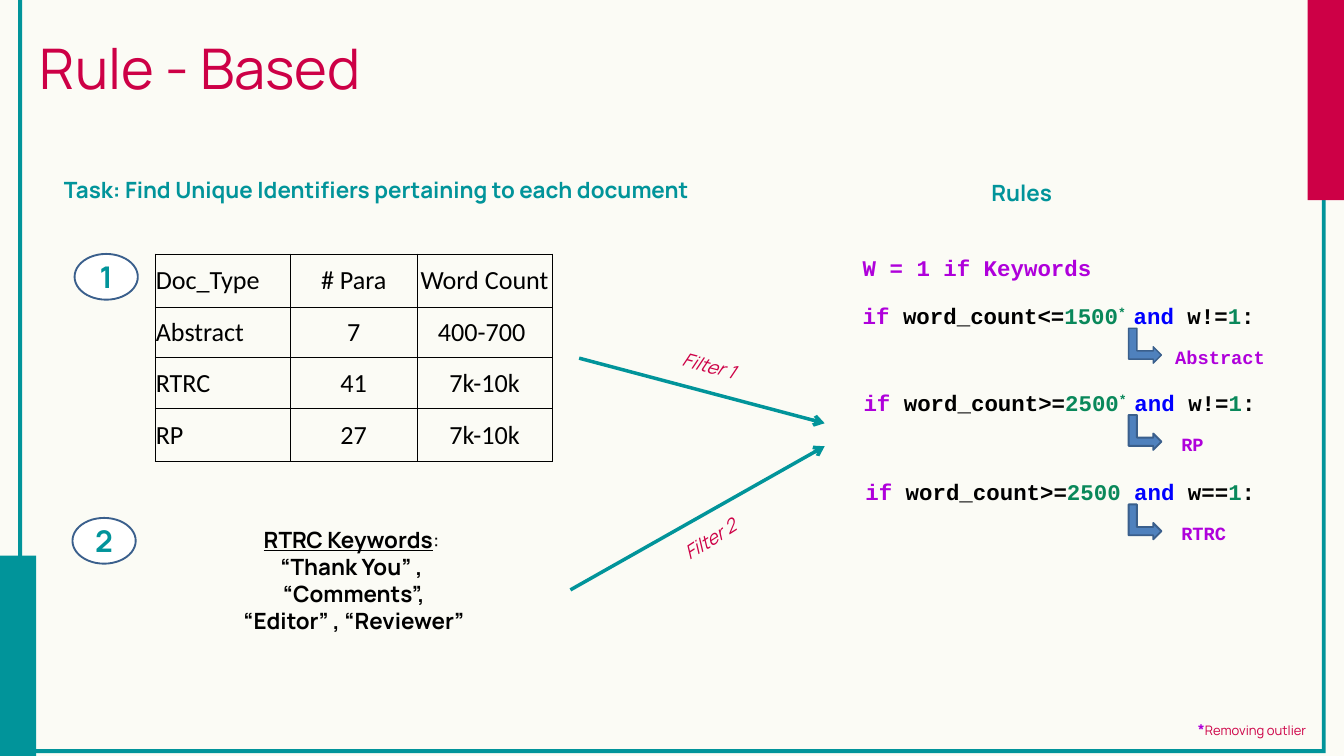
from lxml.etree import SubElement
from pptx import Presentation
from pptx.dml.color import RGBColor
from pptx.enum.shapes import MSO_CONNECTOR, MSO_SHAPE
from pptx.enum.text import MSO_ANCHOR, MSO_AUTO_SIZE, PP_ALIGN
from pptx.oxml.ns import qn
from pptx.util import Cm, Pt

COLORS = {
    "paper": "FBFBF5", "teal": "01949A", "red": "CD0046", "black": "000000",
    "white": "FFFFFF", "outline": "3A5F8C", "arrow": "4F81BD",
    "keyword": "AF00DB", "number": "09885A", "operator": "0000FF",
}
HEADING = {"size": 24, "color": "teal", "bold": True}
CODE = {"size": 24, "font": "Courier New", "color": "keyword", "bold": True}
DOCUMENT_TYPES = [
    ("Doc_Type", "# Para", "Word Count"),
    ("Abstract", "7", "400-700 "),
    ("RTRC", "41", "7k-10k"),
    ("RP", "27", "7k-10k"),
]


def rgb(name):
    return RGBColor.from_string(COLORS[name])


def write(frame, paragraphs, align=PP_ALIGN.LEFT, spacing=None, **base):
    """Fill a frame; a paragraph is a string or a list of (text, format) runs."""
    if isinstance(paragraphs, str):
        paragraphs = [paragraphs]
    for index, content in enumerate(paragraphs):
        paragraph = frame.add_paragraph() if index else frame.paragraphs[0]
        paragraph.alignment = align
        if spacing:
            paragraph.line_spacing = Pt(spacing)
        runs = [(content, {})] if isinstance(content, str) else content
        for text, changes in runs:
            style = {**base, **changes}
            run = paragraph.add_run()
            run.text = text
            run.font.name = style.get("font", "Manrope")
            run.font.size = Pt(style["size"])
            run.font.color.rgb = rgb(style["color"])
            run.font.bold = style.get("bold", False)
            run.font.italic = style.get("italic", False)
            run.font.underline = style.get("underline", False)
            if style.get("raised"):
                run._r.get_or_add_rPr().set("baseline", "30000")


def add_text(slide, paragraphs, left, top, width, height,
             rotation=0, wrap=True, **style):
    box = slide.shapes.add_textbox(Cm(left), Cm(top), Cm(width), Cm(height))
    box.rotation = rotation
    box.text_frame.word_wrap = wrap
    write(box.text_frame, paragraphs, **style)


def paint(shape, fill, line=None, line_width=2):
    shape.shadow.inherit = False
    shape.fill.solid()
    shape.fill.fore_color.rgb = rgb(fill)
    if line:
        shape.line.color.rgb = rgb(line)
        shape.line.width = Pt(line_width)
    else:
        shape.line.fill.background()


def add_shape(slide, kind, left, top, width, height, fill, **line):
    shape = slide.shapes.add_shape(kind, Cm(left), Cm(top), Cm(width), Cm(height))
    paint(shape, fill, **line)
    return shape


def add_frame(slide, left, top, right, bottom, thickness):
    def corners(inset):
        x1, y1 = Cm(left + inset), Cm(top + inset)
        x2, y2 = Cm(right - inset), Cm(bottom - inset)
        return [(x1, y1), (x1, y2), (x2, y2), (x2, y1)]

    outer, inner = corners(0), corners(thickness)[::-1]
    builder = slide.shapes.build_freeform(*outer[0])
    builder.add_line_segments(outer[1:], close=True)
    builder.move_to(*inner[0])
    builder.add_line_segments(inner[1:], close=True)
    paint(builder.convert_to_shape(), "teal")


def add_step_number(slide, number, left, top):
    badge = add_shape(slide, MSO_SHAPE.OVAL, left, top, 2.39, 1.73,
                      "white", line="outline")
    frame = badge.text_frame
    frame.margin_left = frame.margin_right = 0
    frame.margin_top = frame.margin_bottom = 0
    frame.vertical_anchor = MSO_ANCHOR.MIDDLE
    write(frame, number, align=PP_ALIGN.CENTER, size=32, color="teal", bold=True)


def add_arrow(slide, x1, y1, x2, y2):
    arrow = slide.shapes.add_connector(
        MSO_CONNECTOR.STRAIGHT, Cm(x1), Cm(y1), Cm(x2), Cm(y2))
    arrow.line.color.rgb = rgb("teal")
    arrow.line.width = Pt(3.75)
    SubElement(arrow.line._get_or_add_ln(), qn("a:tailEnd"), type="arrow")
    SubElement(arrow._element.spPr, qn("a:effectLst"))


def add_borders(cell):
    properties = cell._tc.get_or_add_tcPr()
    for side in ("lnL", "lnR", "lnT", "lnB"):
        border = SubElement(properties, qn(f"a:{side}"), w=str(Pt(1)))
        fill = SubElement(border, qn("a:solidFill"))
        SubElement(fill, qn("a:srgbClr"), val=COLORS["black"])


def add_document_table(slide, left, top, widths, heights):
    table = slide.shapes.add_table(
        len(heights), len(widths), Cm(left), Cm(top),
        Cm(sum(widths)), Cm(sum(heights))).table
    table.first_row = table.horz_banding = False
    for column, width in zip(table.columns, widths):
        column.width = Cm(width)
    for row, height, values in zip(table.rows, heights, DOCUMENT_TYPES):
        row.height = Cm(height)
        for index, (cell, value) in enumerate(zip(row.cells, values)):
            add_borders(cell)
            cell.fill.background()
            cell.vertical_anchor = MSO_ANCHOR.MIDDLE
            cell.margin_left = cell.margin_right = cell.margin_top = Cm(0.02)
            cell.margin_bottom = 0
            write(cell.text_frame, value, size=28, font="Calibri", color="black",
                  align=PP_ALIGN.CENTER if index else PP_ALIGN.LEFT)


def add_rule(slide, left, top, comparison, limit, outlier, test,
             outcome, outcome_left, outcome_width, line_width=2):
    """One condition, with a bent arrow down to the document type it gives."""
    number, plain = {"color": "number"}, {"color": "black"}
    if outlier:
        limit_runs = [(limit, number), ("* ", {**number, "raised": True})]
    else:
        limit_runs = [(limit + " ", number)]
    condition = [("if", {}), (f" word_count{comparison}", plain), *limit_runs,
                 ("and", {"color": "operator"}), (f" w{test}", plain),
                 ("1", number), (":", plain)]
    add_text(slide, [condition], left, top, 16.26, 1.27, **CODE)
    bend = add_shape(slide, MSO_SHAPE.BENT_UP_ARROW, 42.62, top + 1.15, 1.32, 1.24,
                     "arrow", line="outline", line_width=line_width)
    bend.rotation = 90
    add_text(slide, outcome, outcome_left, top + 1.65, outcome_width, 1.12,
             wrap=False, **{**CODE, "size": 20})


def add_title(slide, text):
    title = slide.shapes.title
    title.left, title.top = Cm(-5.66), Cm(1.63)
    title.width, title.height = Cm(26.47), Cm(2.18)
    frame = title.text_frame
    frame.auto_size = MSO_AUTO_SIZE.NONE
    frame.vertical_anchor = MSO_ANCHOR.TOP
    frame.margin_left = frame.margin_right = 0
    frame.margin_top = frame.margin_bottom = 0
    write(frame, text, align=PP_ALIGN.CENTER, spacing=61.2, size=60, color="red")


def main():
    deck = Presentation()
    deck.slide_width, deck.slide_height = Cm(50.8), Cm(28.58)
    slide = deck.slides.add_slide(deck.slide_layouts[5])
    slide.background.fill.solid()
    slide.background.fill.fore_color.rgb = rgb("paper")

    add_frame(slide, 0.69, -1.32, 50.11, 28.47, 0.15)
    add_shape(slide, MSO_SHAPE.RECTANGLE, 49.43, 0, 1.37, 7.57, "red")
    add_shape(slide, MSO_SHAPE.RECTANGLE, 0, 21.01, 1.37, 7.57, "teal")
    add_title(slide, "Rule - Based")

    add_text(slide, "Task: Find Unique Identifiers pertaining to each document",
             2.08, 6.55, 24.28, 1.27, align=PP_ALIGN.CENTER, **HEADING)
    add_step_number(slide, "1", 2.82, 9.6)
    add_document_table(slide, 5.87, 9.6, (5.11, 4.78, 5.11), (2.03, 1.9, 1.9, 2.03))
    add_step_number(slide, "2", 2.74, 19.58)
    keywords = [
        [("RTRC Keywords", {"underline": True}), (": ", {"bold": False})],
        "“Thank You” , ",
        "“Comments”,",
        "“Editor” , “Reviewer”",
    ]
    add_text(slide, keywords, 5.87, 19.76, 15.01, 4.37,
             align=PP_ALIGN.CENTER, size=24, color="black", bold=True)

    add_arrow(slide, 21.89, 13.54, 31.17, 16)
    add_arrow(slide, 21.56, 22.3, 31.17, 16.87)
    filter_label = {"size": 20, "color": "red", "italic": True}
    add_text(slide, "Filter 1", 25.48, 13.64, 5.56, 1.12, rotation=14.6, **filter_label)
    add_text(slide, "Filter 2", 25.27, 19.05, 5.56, 1.12, rotation=327.4, **filter_label)

    add_text(slide, "Rules", 37.03, 6.65, 3.18, 1.27, align=PP_ALIGN.CENTER, **HEADING)
    add_text(slide, "W = 1 if Keywords", 32.36, 9.47, 16.26, 1.27, **CODE)
    add_rule(slide, 32.36, 11.3, "<=", "1500", True, "!=", "Abstract", 44.17, 3.94,
             line_width=1.5)
    add_rule(slide, 32.39, 14.58, ">=", "2500", True, "!=", "RP", 44.4, 1.37)
    add_rule(slide, 32.46, 17.96, ">=", "2500", False, "==", "RTRC", 44.4, 2.24)

    footnote = [("*", {"size": 16, "color": "keyword", "bold": True}),
                ("Removing outlier", {})]
    add_text(slide, [footnote], 45.03, 27.1, 5.08, 0.94, size=14, color="red")
    deck.save("out.pptx")


if __name__ == "__main__":
    main()
